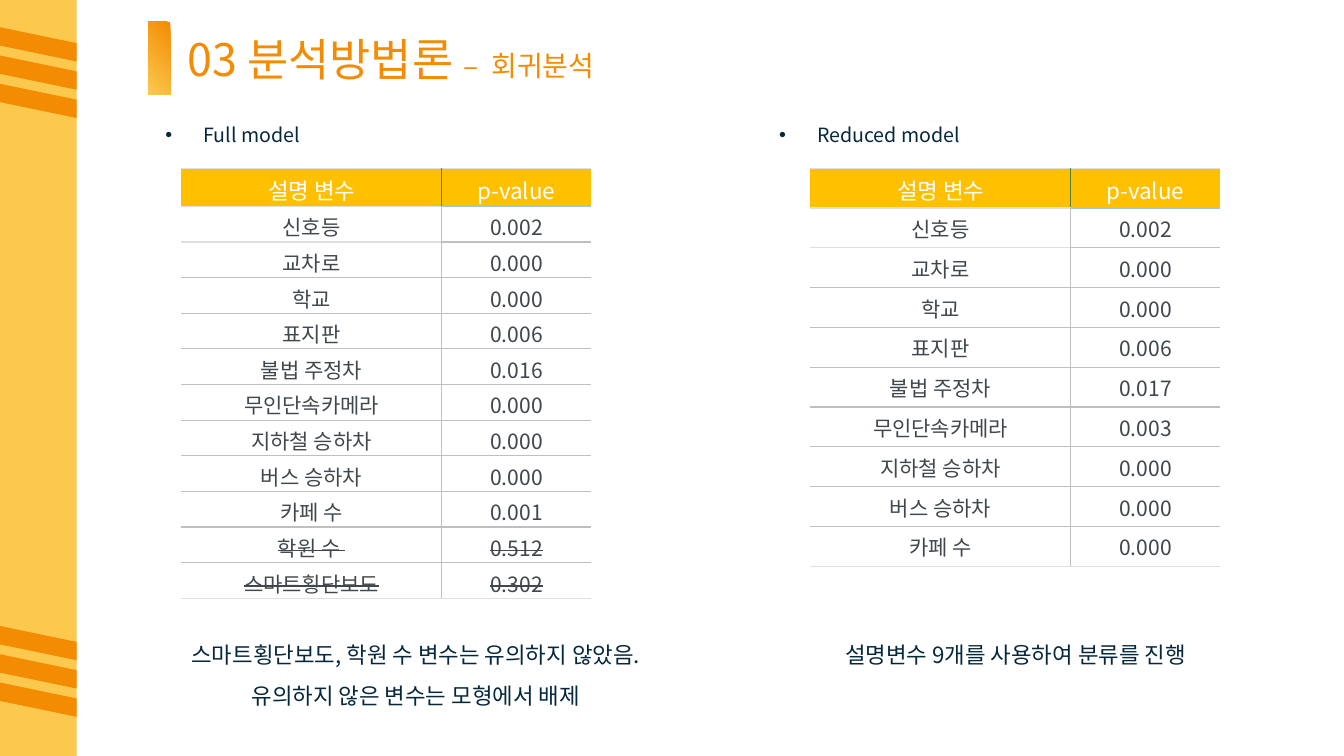
from collections import namedtuple
from dataclasses import dataclass

from lxml.etree import SubElement
from pptx import Presentation
from pptx.dml.color import RGBColor
from pptx.enum.shapes import MSO_SHAPE
from pptx.enum.text import MSO_ANCHOR, MSO_AUTO_SIZE, PP_ALIGN
from pptx.oxml.ns import qn
from pptx.util import Pt


@dataclass(frozen=True)
class Theme:
    font: str = "Noto Sans CJK KR"
    orange: str = "F38C03"
    yellow: str = "FCC94E"
    header: str = "FFC000"
    header_line: str = "548235"
    header_base: str = "9DC3E6"
    grid: str = "BFBFBF"
    pale_grid: str = "DFDFDF"
    ink: str = "06283D"
    cell_ink: str = "40474D"
    white: str = "FFFFFF"
    title_size: int = 32
    subtitle_size: int = 20
    model_size: int = 14
    note_size: int = 16
    header_size: int = 16
    cell_size: int = 15


THEME = Theme()
Box = namedtuple("Box", "left top width height")

FULL_MODEL = [
    ("신호등", "0.002"), ("교차로", "0.000"), ("학교", "0.000"),
    ("표지판", "0.006"), ("불법 주정차", "0.016"), ("무인단속카메라", "0.000"),
    ("지하철 승하차", "0.000"), ("버스 승하차", "0.000"), ("카페 수", "0.001"),
    ("학원 수 ", "0.512"), ("스마트횡단보도", "0.302"),
]
REDUCED_MODEL = [
    ("신호등", "0.002"), ("교차로", "0.000"), ("학교", "0.000"),
    ("표지판", "0.006"), ("불법 주정차", "0.017"), ("무인단속카메라", "0.003"),
    ("지하철 승하차", "0.000"), ("버스 승하차", "0.000"), ("카페 수", "0.000"),
]
FULL_NOTE = "스마트횡단보도, 학원 수 변수는 유의하지 않았음.\n유의하지 않은 변수는 모형에서 배제"
REDUCED_NOTE = "설명변수 9개를 사용하여 분류를 진행"


def color(value):
    return RGBColor.from_string(value)


def format_run(run, size, ink):
    run.font.size = Pt(size)
    run.font.bold = False
    run.font.color.rgb = color(ink)
    run.font.name = THEME.font
    SubElement(run._r.get_or_add_rPr(), qn("a:ea"), {"typeface": THEME.font})


def place(shape, box):
    shape.left, shape.top, shape.width, shape.height = map(Pt, box)


def prepare_frame(frame):
    frame.word_wrap = True
    frame.auto_size = MSO_AUTO_SIZE.SHAPE_TO_FIT_TEXT
    frame.vertical_anchor = MSO_ANCHOR.TOP
    frame.margin_left = frame.margin_right = Pt(7.2)
    frame.margin_top = frame.margin_bottom = Pt(3.6)


def add_block(page, kind, box):
    block = page.shapes.add_shape(kind, *map(Pt, box))
    block.shadow.inherit = False
    block.line.fill.background()
    return block


def add_rail(page, box):
    rail = add_block(page, MSO_SHAPE.RECTANGLE, box)
    rail.fill.solid()
    rail.fill.fore_color.rgb = color(THEME.yellow)
    thickness, step = 24.5, 20.2
    left = box.left + (box.width - thickness) / 2
    for group_top in (4.3, 432):
        for index in range(3):
            top = box.top + group_top + index * step
            stripe = add_block(page, MSO_SHAPE.PARALLELOGRAM,
                               Box(left, top, thickness, box.width))
            stripe.rotation = 270
            stripe.adjustments[0] = 0.464
            stripe.fill.solid()
            stripe.fill.fore_color.rgb = color(THEME.orange)


def add_title(page, box):
    marker = add_block(page, MSO_SHAPE.RECTANGLE, Box(box.left, box.top, 16, 52))
    marker.fill.gradient()
    for stop, tone, position in zip(marker.fill.gradient_stops,
                                    (THEME.yellow, THEME.orange), (0, 1)):
        stop.color.rgb = color(tone)
        stop.position = position
    gradient = marker._element.spPr.find(qn("a:gradFill"))
    gradient.remove(gradient.find(qn("a:lin")))
    circle = SubElement(gradient, qn("a:path"), {"path": "circle"})
    SubElement(circle, qn("a:fillToRect"), {"t": "100000", "r": "100000"})

    title = page.shapes.title
    place(title, Box(box.left + 20.9, box.top + 3, box.width - 20.9, 46))
    prepare_frame(title.text_frame)
    para = title.text_frame.paragraphs[0]
    para.alignment = PP_ALIGN.LEFT
    for text, size in (("03 분석방법론 ", THEME.title_size),
                       ("–  회귀분석", THEME.subtitle_size)):
        span = para.add_run()
        span.text = text
        format_run(span, size, THEME.orange)


def add_model_name(holder, box, name):
    place(holder, box)
    prepare_frame(holder.text_frame)
    holder.text_frame.text = name
    para = holder.text_frame.paragraphs[0]
    properties = para._p.get_or_add_pPr()
    properties.set("marL", str(Pt(27)))
    properties.set("indent", str(-Pt(27)))
    SubElement(properties, qn("a:buFont"), {"typeface": "Arial"})
    SubElement(properties, qn("a:buChar"), {"char": "•"})
    para.space_before = Pt(0)
    format_run(para.runs[0], THEME.model_size, THEME.ink)


def add_borders(cell, edges):
    properties = cell._tc.get_or_add_tcPr()
    for side in "LRTB":
        tone, width = edges.get(side, (None, 0))
        line = SubElement(properties, qn(f"a:ln{side}"), {"w": str(Pt(width))})
        if tone is None:
            SubElement(line, qn("a:noFill"))
        else:
            fill = SubElement(line, qn("a:solidFill"))
            SubElement(fill, qn("a:srgbClr"), {"val": tone})


def cell_edges(row, column, last):
    pale, grid = (THEME.pale_grid, 1), (THEME.grid, 1)
    under_header = pale if column == 0 else (THEME.header_base, 0.5)
    rules = {0: pale, 1: under_header, last + 1: pale}
    if column == 0:
        rules[2] = pale
    divider = (THEME.header_line, 0.5) if row == 0 else grid
    return {"T": rules.get(row, grid), "B": rules.get(row + 1, grid),
            "R" if column == 0 else "L": divider}


def add_p_values(page, box, header_height, values, dropped=()):
    rows = [("설명 변수", "p-value")] + values
    table = page.shapes.add_table(len(rows), 2, *map(Pt, box)).table
    table.horz_banding = False
    table.columns[0].width = Pt(186)
    table.columns[1].width = Pt(box.width - 186)
    row_height = (box.height - header_height) / len(values)
    for row, texts in enumerate(rows):
        is_header = row == 0
        is_dropped = texts[0] in dropped
        table.rows[row].height = Pt(header_height if is_header else row_height)
        for column, text in enumerate(texts):
            cell = table.cell(row, column)
            add_borders(cell, cell_edges(row, column, len(values)))
            if is_dropped:
                cell.fill.background()
            else:
                cell.fill.solid()
                cell.fill.fore_color.rgb = color(THEME.header if is_header else THEME.white)
            cell.vertical_anchor = MSO_ANCHOR.MIDDLE
            cell.text_frame.text = text
            para = cell.text_frame.paragraphs[0]
            para.alignment = PP_ALIGN.CENTER
            span = para.runs[0]
            format_run(span, THEME.header_size if is_header else THEME.cell_size,
                       THEME.white if is_header else THEME.cell_ink)
            if is_dropped:
                span._r.get_or_add_rPr().set("strike", "sngStrike")


def add_note(page, box, text):
    frame = page.shapes.add_textbox(*map(Pt, box)).text_frame
    prepare_frame(frame)
    frame.text = text
    for para in frame.paragraphs:
        para.alignment = PP_ALIGN.CENTER
        para.line_spacing = 1.5
        format_run(para.runs[0], THEME.note_size, THEME.ink)


def main():
    deck = Presentation()
    deck.slide_width, deck.slide_height = Pt(960), Pt(540)
    page = deck.slides.add_slide(deck.slide_layouts[3])
    add_rail(page, Box(0, 0, 54.7, 540))
    add_title(page, Box(105.8, 15.7, 350, 52))
    add_model_name(page.placeholders[1], Box(110.9, 84.2, 188, 24.5), "Full model")
    add_model_name(page.placeholders[2], Box(549.4, 84.2, 188, 24.5), "Reduced model")
    add_p_values(page, Box(129.6, 120.2, 292.8, 307.4), 27.2, FULL_MODEL,
                 ("학원 수 ", "스마트횡단보도"))
    add_p_values(page, Box(578.9, 120.2, 292.8, 284.4), 28.4, REDUCED_MODEL)
    add_note(page, Box(121, 445, 352, 62.6), FULL_NOTE)
    add_note(page, Box(549.4, 445, 352, 33.8), REDUCED_NOTE)
    deck.save("out.pptx")


if __name__ == "__main__":
    main()
